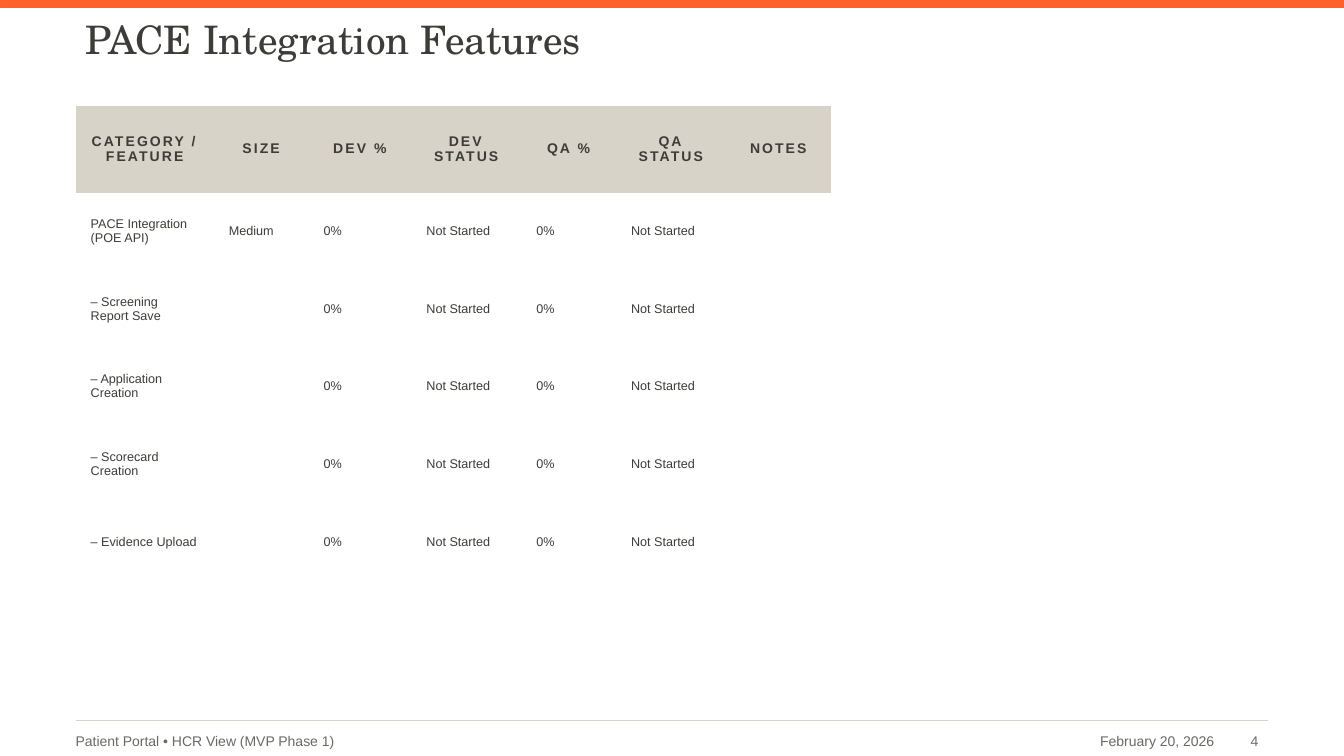
from dataclasses import dataclass

from lxml.etree import SubElement
from pptx import Presentation
from pptx.dml.color import RGBColor as RGB
from pptx.enum.shapes import MSO_CONNECTOR as LINE, MSO_SHAPE as SHAPE
from pptx.enum.text import MSO_ANCHOR as ANCHOR, PP_ALIGN as ALIGN
from pptx.oxml.ns import qn
from pptx.util import Inches, Pt

TITLE = "PACE Integration Features"
HEAD = ["CATEGORY / FEATURE", "SIZE", "DEV %", "DEV STATUS",
        "QA %", "QA STATUS", "NOTES"]
STATUS = ["0%", "Not Started", "0%", "Not Started", ""]
FEATURES = [
    ("PACE Integration (POE API)", "Medium"),
    ("– Screening Report Save", ""),
    ("– Application Creation", ""),
    ("– Scorecard Creation", ""),
    ("– Evidence Upload", ""),
]
# text, left, width, left inset, alignment
FOOTER = [
    ("Patient Portal • HCR View (MVP Phase 1)", 0.75, 8.5, 0, ALIGN.LEFT),
    ("February 20, 2026", 9.73, 2.41, 0.1, ALIGN.RIGHT),
    ("4", 12.08, 0.5, 0.1, ALIGN.RIGHT),
]

WIDE, HIGH = 13.33, 7.5
LEFT, RIGHT = 0.75, 12.58
COLS = [1.37, 0.94, 1.02, 1.09, 0.94, 1.09, 1.04]
HEAD_H, ROW_H, PAD = 0.86, 0.77, 0.15
NO_GRID = "{2D5ABB26-0587-4C30-8999-92F81FD0307C}"


@dataclass(frozen=True)
class Theme:
    serif: str = "TeX Gyre Schola"
    sans: str = "Arial"
    ink: RGB = RGB(0x3D, 0x3C, 0x38)
    muted: RGB = RGB(0x6B, 0x69, 0x63)
    sand: RGB = RGB(0xD8, 0xD3, 0xC8)
    white: RGB = RGB(0xFF, 0xFF, 0xFF)
    accent: RGB = RGB(0xFF, 0x61, 0x2B)
    title: int = 28
    head: int = 10
    cell: int = 9
    foot: int = 10


THEME = Theme()


def style(para, size, color, face=THEME.sans, bold=False, align=ALIGN.LEFT):
    para.alignment = align
    font = para.font
    font.name, font.size, font.bold = face, Pt(size), bold
    font.color.rgb = color


def add_bar(slide):
    bar = slide.shapes.add_shape(SHAPE.RECTANGLE, 0, 0,
                                 Inches(WIDE), Inches(0.07))
    bar.shadow.inherit = False
    bar.fill.solid()
    bar.fill.fore_color.rgb = THEME.accent
    bar.line.color.rgb = THEME.accent
    bar.line.width = Pt(0.25)


def set_title(slide):
    title = slide.shapes.title
    title.left, title.top = Inches(LEFT), Inches(0.18)
    title.width, title.height = Inches(RIGHT - LEFT), Inches(0.5)
    frame = title.text_frame
    frame.text = TITLE
    frame.vertical_anchor = ANCHOR.MIDDLE
    para = frame.paragraphs[0]
    para.line_spacing = 0.8
    style(para, THEME.title, THEME.ink, THEME.serif)


def fill_cell(cell, text, is_head):
    cell.fill.solid()
    cell.fill.fore_color.rgb = THEME.sand if is_head else THEME.white
    cell.vertical_anchor = ANCHOR.MIDDLE
    cell.margin_left = cell.margin_right = Inches(PAD)
    cell.margin_top = cell.margin_bottom = Inches(PAD)
    if not text:
        return
    cell.text = text
    para = cell.text_frame.paragraphs[0]
    if is_head:
        style(para, THEME.head, THEME.ink, bold=True, align=ALIGN.CENTER)
        para.runs[0]._r.get_or_add_rPr().set("spc", "150")
    else:
        style(para, THEME.cell, THEME.ink)


def add_grid(slide):
    rows = [HEAD] + [[*feature, *STATUS] for feature in FEATURES]
    height = HEAD_H + ROW_H * len(FEATURES)
    frame = slide.shapes.add_table(len(rows), len(COLS), Inches(LEFT),
                                   Inches(1.05), Inches(sum(COLS)),
                                   Inches(height))
    next(frame.element.iter(qn("a:tableStyleId"))).text = NO_GRID
    table = frame.table
    table.horz_banding = False
    for col, width in zip(table.columns, COLS):
        col.width = Inches(width)
    for i, row in enumerate(rows):
        table.rows[i].height = Inches(ROW_H if i else HEAD_H)
        for j, text in enumerate(row):
            fill_cell(table.cell(i, j), text, i == 0)


def add_footer(slide):
    y = Inches(7.15)
    rule = slide.shapes.add_connector(LINE.STRAIGHT, Inches(LEFT), y,
                                      Inches(RIGHT), y)
    rule.line.color.rgb = THEME.sand
    rule.line.width = Pt(1)
    SubElement(rule.element.spPr, qn("a:effectLst"))
    for text, left, width, inset, align in FOOTER:
        box = slide.shapes.add_textbox(Inches(left), Inches(7.23),
                                       Inches(width), Inches(0.25))
        frame = box.text_frame
        frame.word_wrap = True
        frame.vertical_anchor = ANCHOR.MIDDLE
        frame.margin_left = frame.margin_right = Inches(inset)
        frame.text = text
        style(frame.paragraphs[0], THEME.foot, THEME.muted, align=align)


def main():
    deck = Presentation()
    deck.slide_width, deck.slide_height = Inches(WIDE), Inches(HIGH)
    slide = deck.slides.add_slide(deck.slide_layouts[5])
    add_bar(slide)
    set_title(slide)
    add_grid(slide)
    add_footer(slide)
    deck.save("out.pptx")


if __name__ == "__main__":
    main()
